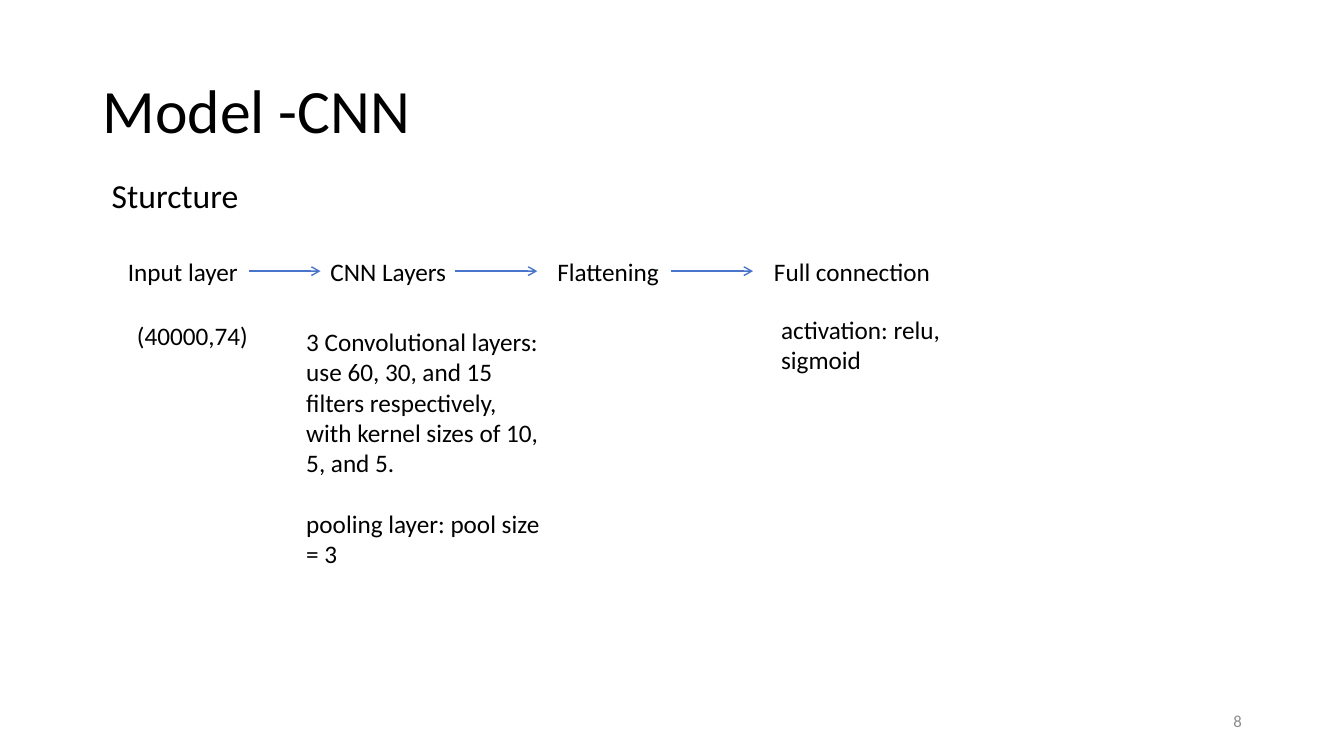
from dataclasses import dataclass

from lxml.etree import SubElement
from pptx import Presentation
from pptx.dml.color import RGBColor
from pptx.enum.shapes import MSO_CONNECTOR as Connector
from pptx.enum.text import MSO_ANCHOR as Anchor, PP_ALIGN as Align
from pptx.oxml.ns import qn
from pptx.util import Inches, Pt


@dataclass(frozen=True)
class Theme:
    font: str = "Calibri"
    ink: str = "000000"
    muted: str = "8C8C8C"
    accent: str = "4874CB"
    title: int = 44
    heading: int = 24
    body: int = 18
    footer: int = 12
    paragraph_gap: int = 22
    arrow_width: int = 1


class SlideBuilder:
    """Draws on one slide; lengths are percentages of its width and height."""

    def __init__(self, deck, theme):
        self.deck = deck
        self.theme = theme
        self.slide = deck.slides.add_slide(deck.slide_layouts[6])

    def x(self, share):
        return round(self.deck.slide_width * share / 100)

    def y(self, share):
        return round(self.deck.slide_height * share / 100)

    def text(self, box, paragraphs, size, color=None, anchor=Anchor.TOP,
             align=Align.LEFT, line_spacing=None):
        left, top, width, height = box
        frame = self.slide.shapes.add_textbox(
            self.x(left), self.y(top), self.x(width), self.y(height)).text_frame
        frame.word_wrap = True
        frame.vertical_anchor = anchor
        frame.text = "\n".join(paragraphs)
        for paragraph in frame.paragraphs:
            paragraph.alignment = align
            paragraph.line_spacing = line_spacing
            paragraph.font.name = self.theme.font
            paragraph.font.size = Pt(size)
            paragraph.font.color.rgb = RGBColor.from_string(color or self.theme.ink)
        return frame

    def title(self, box, wording):
        self.text(box, [wording], self.theme.title, anchor=Anchor.MIDDLE, line_spacing=0.9)

    def heading(self, box, wording):
        self.text(box, [wording], self.theme.heading)

    def body(self, box, *paragraphs):
        return self.text(box, paragraphs, self.theme.body)

    def page_number(self, box, number):
        self.text(box, [str(number)], self.theme.footer, self.theme.muted,
                  Anchor.MIDDLE, Align.RIGHT)

    def arrow(self, start, end, level):
        arrow = self.slide.shapes.add_connector(
            Connector.STRAIGHT, self.x(start), self.y(level), self.x(end), self.y(level))
        arrow.line.color.rgb = RGBColor.from_string(self.theme.accent)
        arrow.line.width = Pt(self.theme.arrow_width)
        SubElement(arrow.line._get_or_add_ln(), qn("a:tailEnd"), type="arrow")
        SubElement(arrow._element.spPr, qn("a:effectLst"))


def main():
    deck = Presentation()
    deck.slide_width, deck.slide_height = Inches(13.33), Inches(7.5)
    theme = Theme()
    page = SlideBuilder(deck, theme)

    page.title((6.9, 5.33, 86.25, 19.33), "Model -CNN")
    page.page_number((70.65, 92.67, 22.5, 5.33), 8)
    page.heading((7.58, 22.53, 73.43, 6.67), "Sturcture")

    stage_top, row_height = 33.2, 5.33
    stages = [("Input layer", 8.78, 9.75), ("CNN Layers", 23.85, 23.33),
              ("Flattening", 40.73, 23.33), ("Full connection", 56.85, 23.33)]
    for stage, left, width in stages:
        page.body((left, stage_top, width, row_height), stage)
    for start, end in [(18.53, 23.85), (33.83, 39.98), (49.95, 56.03)]:
        page.arrow(start, end, stage_top + row_height / 2)

    page.body((9.45, 41.73, 14.4, row_height), "(40000,74)")
    layers = page.body(
        (22.05, 42.53, 19.35, 45.07),
        "3 Convolutional layers:",
        "use 60, 30, and 15 filters respectively, with kernel sizes of 10, 5, and 5.",
        "pooling layer: pool size = 3")
    layers.paragraphs[-1].space_before = Pt(theme.paragraph_gap)
    page.body((57.38, 40.93, 15.6, 9.47), "activation: relu, sigmoid")

    deck.save("out.pptx")


if __name__ == "__main__":
    main()
